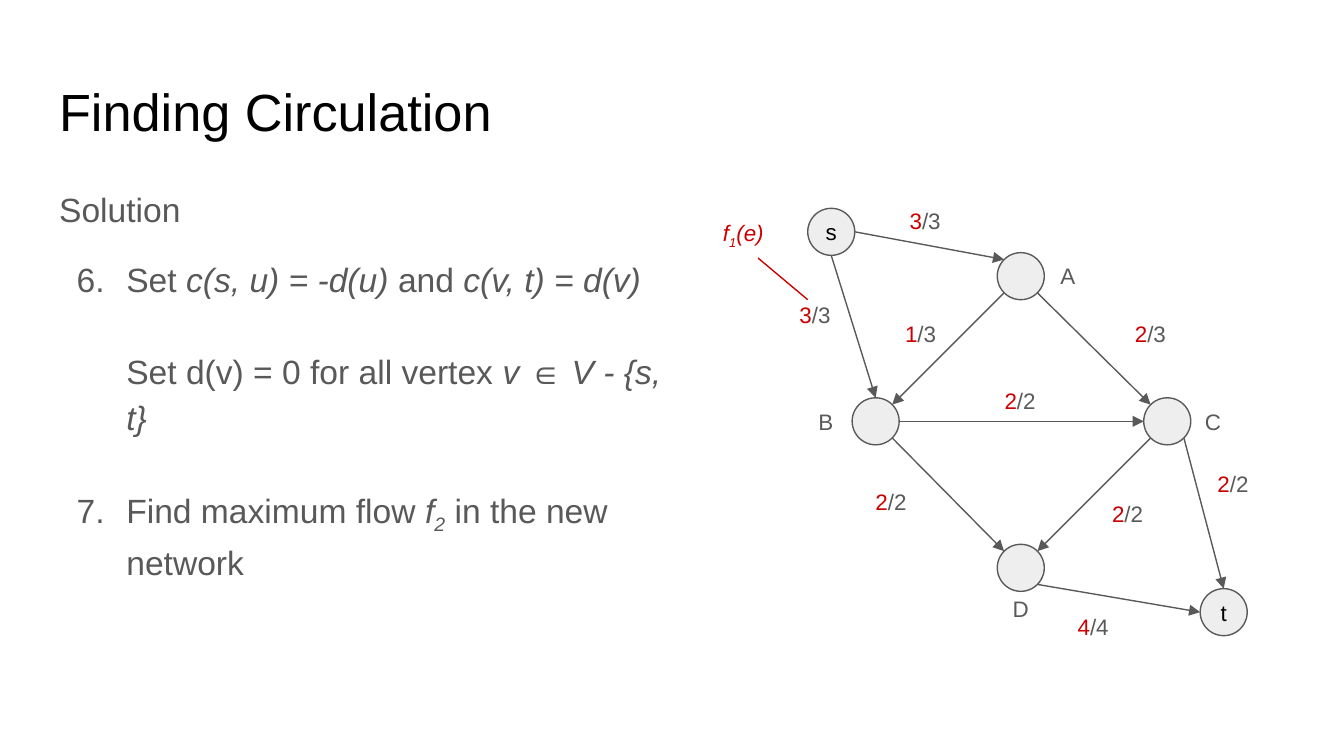
from math import cos, radians, sin

from lxml.etree import SubElement
from pptx import Presentation
from pptx.dml.color import RGBColor
from pptx.enum.shapes import MSO_CONNECTOR as CXN, MSO_SHAPE as SHAPE
from pptx.enum.text import MSO_ANCHOR as ANCHOR, MSO_AUTO_SIZE as FIT, PP_ALIGN as ALIGN
from pptx.oxml.ns import qn
from pptx.util import Inches, Pt

COLORS = {"title": "000000", "text": "595959", "flow": "CC0000", "node": "EEEEEE"}
NODE_SIZE = 0.35
ANGLES = {"E": 0, "SE": 45, "S": 90, "SW": 135, "W": 180, "NW": 225, "N": 270, "NE": 315}

NODES = {
    "s": (0.73, 0.1), "A": (2.14, 0.43), "B": (1.06, 1.51),
    "C": (3.23, 1.51), "D": (2.14, 2.6), "t": (3.65, 2.93),
}
NODE_NAMES = {"A": (2.5, 0.47), "B": (0.7, 1.56), "C": (3.58, 1.56), "D": (2.15, 2.95)}
EDGES = [
    ("A", "SW", "B", "NE", "1", "3", (1.12, 0.84, 0.9), ALIGN.CENTER),
    ("A", "SE", "C", "NW", "2", "3", (2.83, 0.84, 0.9), ALIGN.CENTER),
    ("B", "SE", "D", "NW", "2", "2", (0.85, 2.09, 1), ALIGN.CENTER),
    ("C", "SW", "D", "NE", "2", "2", (2.66, 2.18, 0.9), ALIGN.CENTER),
    ("B", "E", "C", "W", "2", "2", (1.97, 1.34, 0.68), ALIGN.CENTER),
    ("s", "S", "B", "N", "3", "3", (0.57, 0.7, 0.47), ALIGN.LEFT),
    ("s", "E", "A", "NW", "3", "3", (1.39, 0, 0.47), ALIGN.LEFT),
    ("C", "SE", "t", "N", "2", "2", (3.68, 1.96, 0.52), ALIGN.LEFT),
    ("D", "SE", "t", "W", "4", "4", (2.64, 3.02, 0.47), ALIGN.LEFT),
]


def rgb(name):
    """Look up a named colour."""
    return RGBColor.from_string(COLORS[name])


def add_run(p, text, size=12, color="text", italic=False, base=0):
    """Append a formatted run to a paragraph."""
    r = p.add_run()
    r.text = text
    font = r.font
    font.name, font.size, font.italic = "Arial", Pt(size), italic
    font.color.rgb = rgb(color)
    if base:
        r._r.get_or_add_rPr().set("baseline", str(base * 1000))


def set_frame(tf, anchor=ANCHOR.TOP, side=0.1):
    """Set wrapping, anchor and insets of a text frame."""
    tf.word_wrap, tf.auto_size, tf.vertical_anchor = True, FIT.NONE, anchor
    tf.margin_left = tf.margin_right = Inches(side)
    tf.margin_top = tf.margin_bottom = Inches(0.1)


def place(sp, x, y, w, h):
    """Move and size a shape in inches."""
    sp.left, sp.top, sp.width, sp.height = map(Inches, (x, y, w, h))


def add_label(s, x, y, w, h, runs, align=ALIGN.CENTER, anchor=ANCHOR.MIDDLE):
    """Add a small text box from (text, format) pairs."""
    tf = s.shapes.add_textbox(*map(Inches, (x, y, w, h))).text_frame
    set_frame(tf, anchor)
    p = tf.paragraphs[0]
    p.alignment = align
    for text, fmt in runs:
        add_run(p, text, **fmt)


def add_line(s, start, end, color="text", arrow=False):
    """Add a thin straight line, with an arrowhead at its end on request."""
    line = s.shapes.add_connector(CXN.STRAIGHT, *map(Inches, (*start, *end)))
    line.line.width = Pt(0.75)
    line.line.color.rgb = rgb(color)
    if arrow:
        SubElement(line.line._get_or_add_ln(), qn("a:tailEnd"), type="triangle")
    SubElement(line._element.spPr, qn("a:effectLst"))


def add_title(s, x, y, w, h):
    """Fill the title placeholder."""
    sp = s.shapes.title
    place(sp, x, y, w, h)
    set_frame(sp.text_frame)
    p = sp.text_frame.paragraphs[0]
    p.alignment = ALIGN.LEFT
    add_run(p, "Finding Circulation", size=28, color="title")


def add_steps(s, x, y, w, h):
    """Fill the body placeholder with the numbered solution steps."""
    sp = s.placeholders[1]
    place(sp, x, y, w, h)
    tf = sp.text_frame
    set_frame(tf)
    italic = {"italic": True}
    steps = [
        (None, 0, 0, [("Solution", {})]),
        (6, 0.5, 12.5, [("Set ", {}), ("c(s, u) = -d(u) ", italic), ("and ", {}),
                        ("c(v, t) = d(v)", italic)]),
        (None, 0.5, 24.5, [("Set d(v) = 0 for all vertex ", {}), ("v ", italic),
                           ("∈ ", {}), ("V - {s, t}", italic)]),
        (7, 0.5, 24.5, [("Find maximum flow ", {}), ("f", italic),
                        ("2", {"italic": True, "base": -25}),
                        (" in the new network", {})]),
    ]
    for i, (number, indent, before, runs) in enumerate(steps):
        p = tf.paragraphs[0] if i == 0 else tf.add_paragraph()
        pPr = p._p.get_or_add_pPr()
        pPr.set("marL", str(Inches(indent)))
        pPr.set("indent", str(Inches(-0.37 if number else 0)))
        if number:
            clr = SubElement(pPr, qn("a:buClr"))
            SubElement(clr, qn("a:srgbClr"), val=COLORS["text"])
            SubElement(pPr, qn("a:buAutoNum"), type="arabicPeriod", startAt=str(number))
        else:
            SubElement(pPr, qn("a:buNone"))
        p.alignment, p.line_spacing = ALIGN.LEFT, 1.15
        p.space_before, p.space_after = Pt(before), Pt(0)
        for text, fmt in runs:
            add_run(p, text, size=18, **fmt)


def add_node(s, x, y, text):
    """Add a round node, with its name inside if given."""
    sp = s.shapes.add_shape(SHAPE.OVAL, *map(Inches, (x, y, NODE_SIZE, NODE_SIZE)))
    sp.shadow.inherit = False
    sp.fill.solid()
    sp.fill.fore_color.rgb = rgb("node")
    sp.line.color.rgb = rgb("text")
    sp.line.width = Pt(0.75)
    if text:
        set_frame(sp.text_frame, ANCHOR.MIDDLE, side=0)
        p = sp.text_frame.paragraphs[0]
        p.alignment = ALIGN.CENTER
        add_run(p, text, color="title")


def add_network(s, x, y):
    """Draw the flow network from its top left corner."""
    def rim(name, side):
        """Find the point on a node's rim in a compass direction."""
        left, top = NODES[name]
        angle, radius = radians(ANGLES[side]), NODE_SIZE / 2
        return (x + left + radius * (1 + cos(angle)), y + top + radius * (1 + sin(angle)))

    for name, (dx, dy) in NODES.items():
        add_node(s, x + dx, y + dy, "" if name in NODE_NAMES else name)
    for tail, out_side, head, in_side, flow, capacity, (dx, dy, w), align in EDGES:
        add_line(s, rim(tail, out_side), rim(head, in_side), arrow=True)
        runs = [(flow, {"color": "flow"}), ("/" + capacity, {})]
        add_label(s, x + dx, y + dy, w, 0.38, runs, align)
    for name, (dx, dy) in NODE_NAMES.items():
        add_label(s, x + dx, y + dy, 0.33, 0.26, [(name, {})])

    add_line(s, (x + 0.73, y + 0.78), (x + 0.36, y + 0.47), color="flow")
    flow_style = {"color": "flow", "italic": True}
    runs = [("f", flow_style), ("1", {**flow_style, "base": -25}), ("(e)", flow_style)]
    add_label(s, x, y + 0.08, 0.58, 0.38, runs, ALIGN.LEFT, ANCHOR.TOP)


def main():
    """Build the slide and save it."""
    prs = Presentation()
    prs.slide_width = Inches(10)
    prs.slide_height = prs.slide_width * 9 // 16
    s = prs.slides.add_slide(prs.slide_layouts[1])
    add_title(s, 0.34, 0.49, 9.32, 0.63)
    add_steps(s, 0.34, 1.26, 4.85, 3.74)
    add_network(s, 5.28, 1.45)
    prs.save("out.pptx")


if __name__ == "__main__":
    main()
